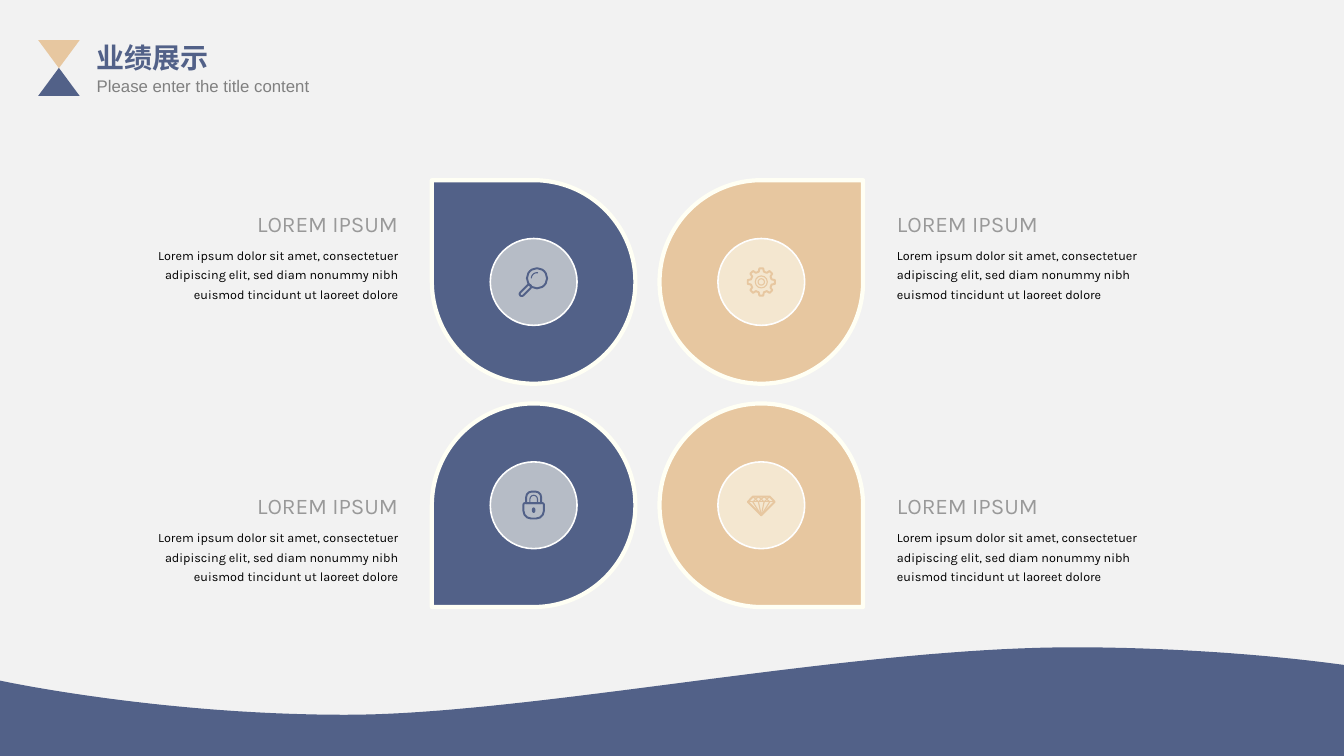
from dataclasses import dataclass
from math import cos, radians, sin

from lxml import etree
from pptx import Presentation
from pptx.dml.color import RGBColor
from pptx.enum import shapes, text
from pptx.oxml import ns
from pptx.util import Pt

MSO = shapes.MSO_SHAPE
ALIGN = text.PP_ALIGN


@dataclass(frozen=True)
class Theme:
    paper: str = "F2F2F2"
    navy: str = "526188"
    sand: str = "E7C7A0"
    ivory: str = "FFFFF4"
    white: str = "FEFEFE"
    subtitle: str = "808080"
    heading: str = "999999"
    body: str = "000000"
    title_font: str = "Arial"
    text_font: str = "Karla"
    title_size: float = 20
    subtitle_size: float = 12
    heading_size: float = 16
    body_size: float = 9
    stroke: float = 1.4
    thin: float = 0.8


T = Theme()
BODY = ("Lorem ipsum dolor sit amet, consectetuer adipiscing elit, "
        "sed diam nonummy nibh euismod tincidunt ut laoreet dolore")


def paint(s, fill=None, line=None, width=1.0):
    s.shadow.inherit = False
    if fill:
        s.fill.solid()
        s.fill.fore_color.rgb = RGBColor.from_string(fill)
    else:
        s.fill.background()
    if line:
        s.line.color.rgb = RGBColor.from_string(line)
        s.line.width = Pt(width)
    else:
        s.line.fill.background()
    return s


def add_preset(sp, kind, cx, cy, w, h, fill=None, line=None, width=1.0, adj=()):
    """Place a preset shape by its centre."""
    s = sp.add_shape(kind, Pt(cx - w / 2), Pt(cy - h / 2), Pt(w), Pt(h))
    for i, value in enumerate(adj):
        s.adjustments[i] = value
    return paint(s, fill, line, width)


def add_outline(sp, contours, closed, **style):
    """Draw one freeform from lists of (x, y) points."""
    contours = [[(Pt(x), Pt(y)) for x, y in c] for c in contours]
    builder = sp.build_freeform(*contours[0][0])
    for i, (start, *rest) in enumerate(contours):
        if i:
            builder.move_to(*start)
        builder.add_line_segments(rest, close=closed)
    return paint(builder.convert_to_shape(), **style)


def add_text(sp, x, y, w, h, words, size, color, font, align, bold=False, spacing=1.0):
    tf = sp.add_textbox(Pt(x), Pt(y), Pt(w), Pt(h)).text_frame
    tf.word_wrap = True
    p = tf.paragraphs[0]
    p.alignment = align
    p.line_spacing = spacing
    r = p.add_run()
    r.text = words
    r.font.size = Pt(size)
    r.font.name = font
    r.font.bold = bold
    r.font.color.rgb = RGBColor.from_string(color)


def polar(cx, cy, radius, degrees):
    return cx + radius * cos(radians(degrees)), cy + radius * sin(radians(degrees))


def bezier(a, b, c, d, steps=40):
    for i in range(steps + 1):
        t = i / steps
        u = 1 - t
        yield tuple(u**3 * k + 3 * u * u * t * m + 3 * u * t * t * n + t**3 * o
                    for k, m, n, o in zip(a, b, c, d))


def add_wave(sp):
    crest, trough = (766.8, 462.4), (247, 510.6)
    points = [*bezier(crest, (604.8, 462.4), (380.2, 510.6), trough),
              *bezier(trough, (113, 510.6), (0, 486.2), (0, 486.2)),
              (0, 540), (960, 540),
              *bezier((960, 475), (898.6, 466.6), (827.3, 462.4), crest)]
    add_outline(sp, [points], True, fill=T.navy)


def add_header(sp):
    add_preset(sp, MSO.ISOSCELES_TRIANGLE, 42.1, 58.5, 29.6, 20, T.navy)
    add_preset(sp, MSO.ISOSCELES_TRIANGLE, 42.1, 38.7, 29.6, 20, T.sand).rotation = 180
    add_text(sp, 62, 25.2, 129, 31.5, "业绩展示", T.title_size, T.navy,
             T.title_font, ALIGN.JUSTIFY, bold=True)
    add_text(sp, 62, 50.4, 190, 21.6, "Please enter the title content",
             T.subtitle_size, T.subtitle, T.title_font, ALIGN.JUSTIFY)


def add_magnifier(sp, x, y, color):
    lens_x, lens_y = x + 2.4, y - 2.6
    add_preset(sp, MSO.OVAL, lens_x, lens_y, 14.4, 14.4, line=color, width=T.stroke)
    add_preset(sp, MSO.ROUNDED_RECTANGLE, x - 5.9, y + 6, 10.4, 3, line=color,
               width=T.stroke, adj=[0.5]).rotation = -45
    glint = [polar(lens_x, lens_y, 4, a) for a in range(180, 281, 10)]
    add_outline(sp, [glint], False, line=color, width=T.thin)


def add_gear(sp, x, y, color):
    tooth = [(7.6, -14), (9.8, -8), (9.8, 8), (7.6, 14)]
    rim = [polar(x, y, radius, a + turn)
           for turn in range(0, 360, 45) for radius, a in tooth]
    add_outline(sp, [rim], True, line=color, width=T.stroke)
    for size in (8.6, 4.6):
        add_preset(sp, MSO.OVAL, x, y, size, size, line=color, width=T.thin)


def add_lock(sp, x, y, color):
    rounded = MSO.ROUND_2_SAME_RECTANGLE
    add_preset(sp, rounded, x, y + 4, 14.6, 11, line=color, width=T.stroke, adj=[0.1, 0.5])
    for w, h, line_width in ((10.8, 8.3, T.stroke), (5.4, 5.6, T.thin)):
        add_preset(sp, rounded, x, y - 1.5 - h / 2, w, h, line=color,
                   width=line_width, adj=[0.5, 0])
    add_preset(sp, MSO.OVAL, x, y + 3.5, 2.6, 4, color)


def add_diamond(sp, x, y, color):
    top, girdle, tip = y - 6.2, y - 2.4, (x, y + 7.2)
    xs = [x + dx for dx in (-6, -2, 2, 6)]
    ends = [(x - 9.6, girdle), (x + 9.6, girdle)]
    rim = [ends[0], (xs[0], top), (xs[-1], top), ends[1], tip]
    facets = [ends] + [[(a, girdle), tip] for a in xs]
    for a, b in zip(xs, xs[1:]):
        facets += [[(a, top), (b, girdle)], [(a, girdle), (b, top)]]
    add_outline(sp, [rim], True, line=color, width=T.stroke)
    add_outline(sp, facets, False, line=color, width=T.thin)


def add_petal(sp, x, y, color, left, lower, add_icon):
    petal = add_preset(sp, MSO.TEAR, x, y, 145.4, 145.4, color, T.ivory, 3)
    for flag, on in (("flipH", left), ("flipV", lower)):
        if on:
            petal.element.spPr.xfrm.set(flag, "1")
    disc = add_preset(sp, MSO.OVAL, x, y, 62, 62, T.ivory, T.white, 1.13)
    rgb = disc.element.spPr.find(ns.qn("a:solidFill"))[0]
    etree.SubElement(rgb, ns.qn("a:alpha"), val="58000")
    add_icon(sp, x, y, color)


def add_caption(sp, y, left):
    align = ALIGN.RIGHT if left else ALIGN.LEFT
    for dy, w, h, words, size, color, spacing in (
            (0, 135.4, 27.4, "LOREM IPSUM", T.heading_size, T.heading, 1.0),
            (23.8, 205.2, 49.7, BODY, T.body_size, T.body, 1.3)):
        x = 291.4 - w if left else 633.6
        add_text(sp, x, y + dy, w, h, words, size, color, T.text_font, align,
                 spacing=spacing)


def main():
    prs = Presentation()
    prs.slide_width, prs.slide_height = Pt(960), Pt(540)
    slide = prs.slides.add_slide(prs.slide_layouts[6])
    slide.background.fill.solid()
    slide.background.fill.fore_color.rgb = RGBColor.from_string(T.paper)
    sp = slide.shapes
    add_wave(sp)
    add_header(sp)
    columns = ((381.2, T.navy, True), (543.8, T.sand, False))
    rows = ((201.4, 146.2, False, (add_magnifier, add_gear)),
            (360.9, 347.8, True, (add_lock, add_diamond)))
    for y, caption_y, lower, icons in rows:
        for (x, color, left), add_icon in zip(columns, icons):
            add_petal(sp, x, y, color, left, lower, add_icon)
            add_caption(sp, caption_y, left)
    prs.save("out.pptx")


if __name__ == "__main__":
    main()
